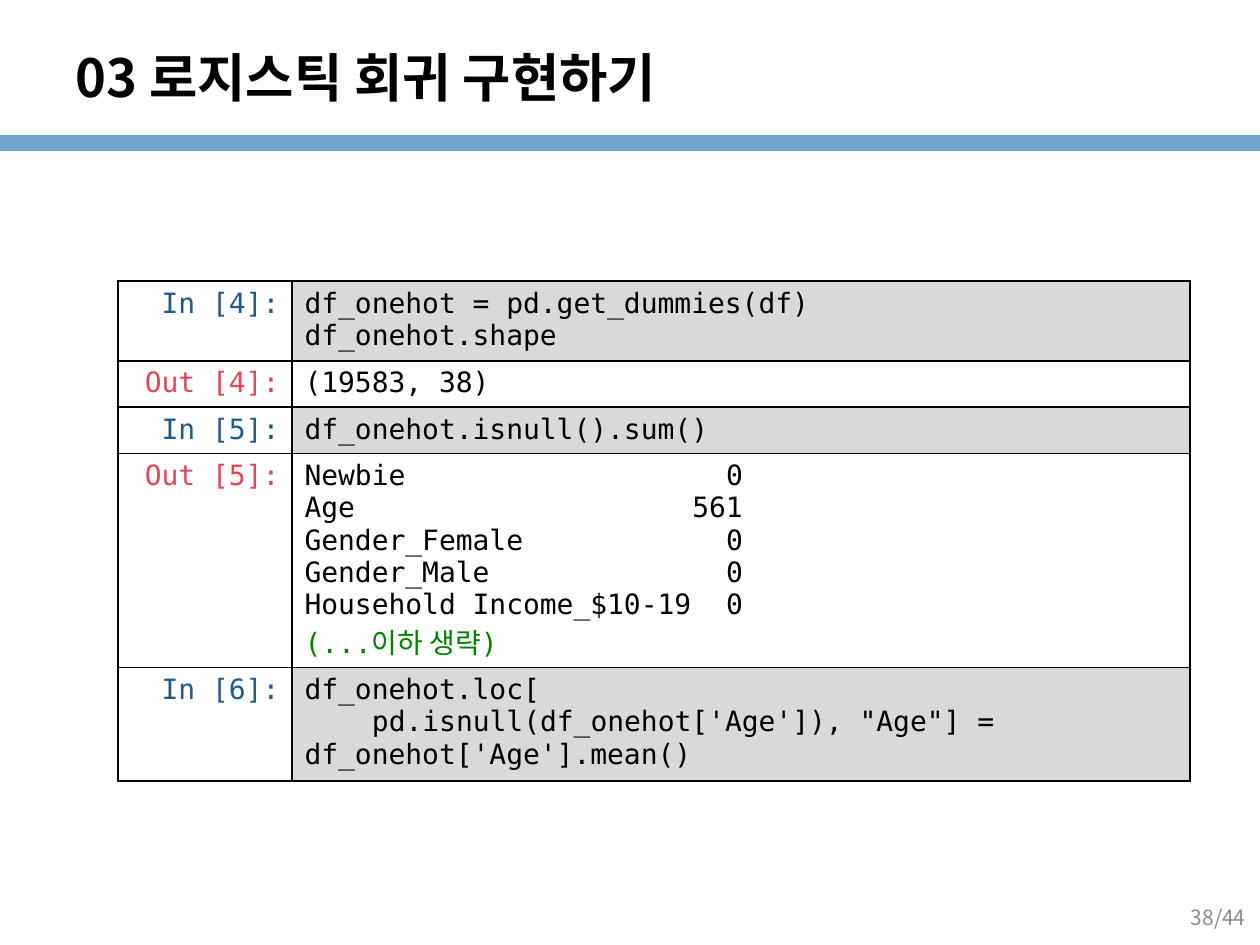
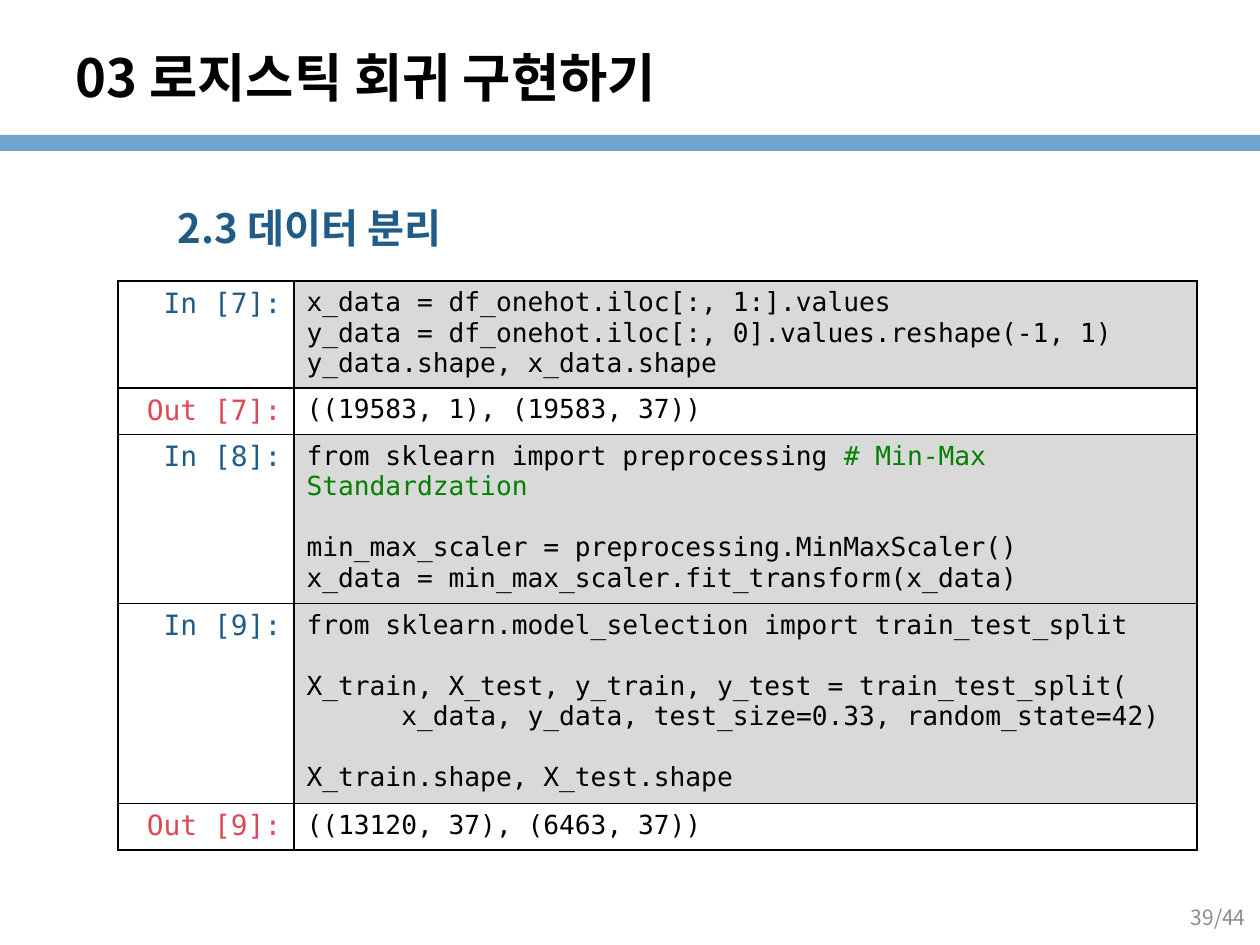
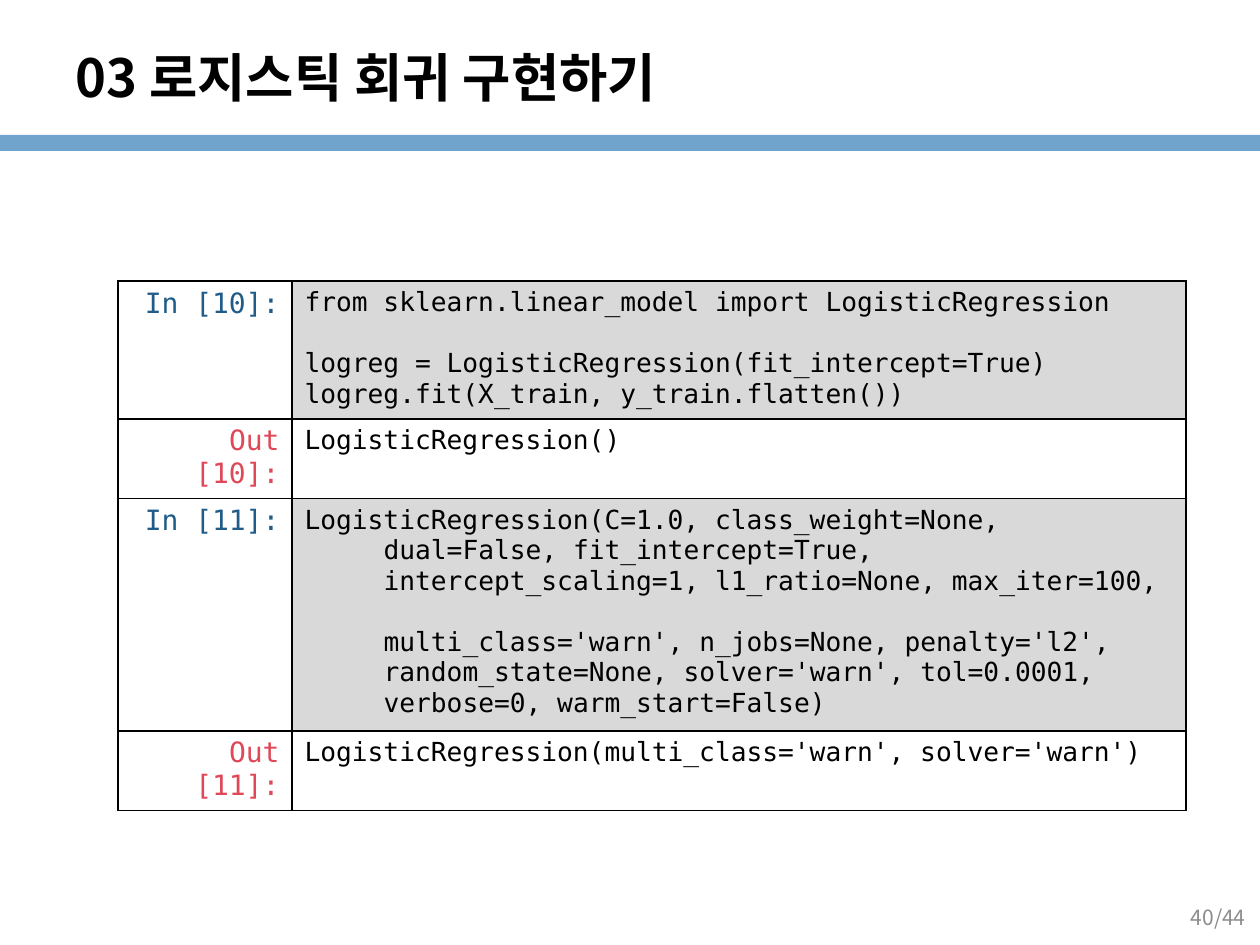
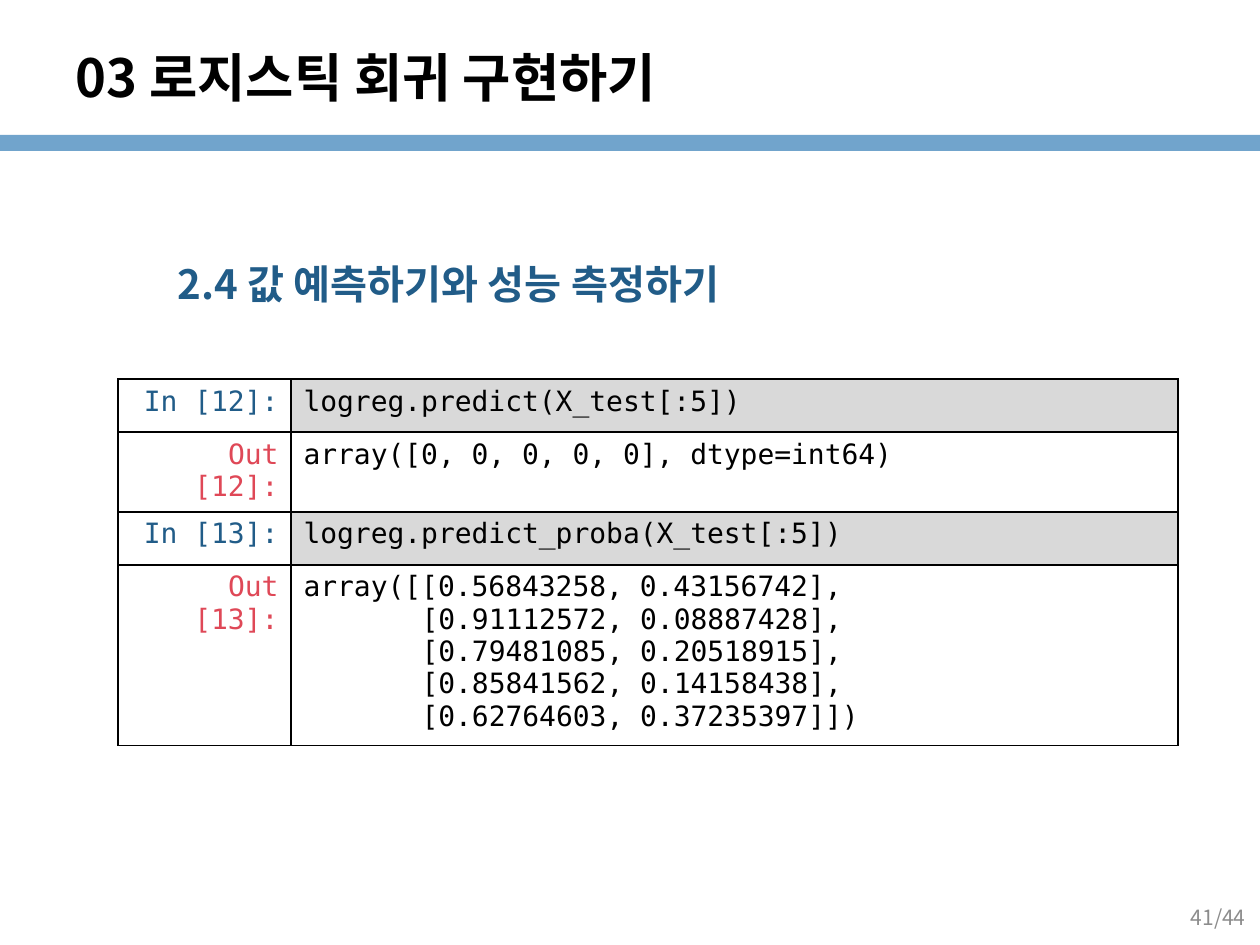
from dataclasses import dataclass

from lxml.etree import SubElement
from pptx import Presentation
from pptx.dml.color import RGBColor
from pptx.enum.shapes import MSO_SHAPE
from pptx.enum.text import MSO_ANCHOR, MSO_AUTO_SIZE, PP_ALIGN
from pptx.oxml import parse_xml
from pptx.oxml.ns import nsdecls, qn
from pptx.util import Emu, Pt

# Shared look
BLACK = RGBColor(0x00, 0x00, 0x00)
BLUE = RGBColor(0x21, 0x5C, 0x88)
RED = RGBColor(0xDF, 0x48, 0x57)
GREEN = RGBColor(0x00, 0x80, 0x00)
BAND = RGBColor(0x71, 0xA4, 0xCC)
CODE_GRAY = RGBColor(0xD9, 0xD9, 0xD9)
PAGE_GRAY = RGBColor(0x8C, 0x8C, 0x8C)
SANS = "Noto Sans CJK KR"
MONO = "DejaVu Sans Mono"
TITLE = "03 로지스틱 회귀 구현하기"
PAGE_COUNT = 44
TABLE_LEFT = 118
LABEL_SIZE = 16
CHAR_WIDTH = 0.602  # advance of a monospaced character, in ems
LINE_HEIGHT = 1.164  # height of a monospaced line, in ems
TITLE_ONLY, TITLE_AND_BODY = 5, 1


@dataclass
class Line:
    """A line of code; indent and tab are counted in characters."""
    text: str
    indent: int = 0
    tab: int = 0
    gap: bool = False
    color: RGBColor = BLACK
    comment: str = ""


def px(n):
    return Emu(round(n * 914400 / 126))


def place(sp, left, top, width, height):
    sp.left, sp.top, sp.width, sp.height = map(px, (left, top, width, height))


def add_run(p, text, font, size, color, bold=False):
    r = p.add_run()
    r.text = text
    r.font.name, r.font.size, r.font.bold = font, Pt(size), bold
    r.font.color.rgb = color
    SubElement(r.font._element, qn("a:ea")).set("typeface", SANS)


def add_band(slide):
    sp = slide.shapes.add_shape(MSO_SHAPE.RECTANGLE, 0, px(135), px(1260), px(16))
    sp.shadow.inherit = False
    sp.fill.solid()
    sp.fill.fore_color.rgb = BAND
    sp.line.fill.background()


def add_page(prs, number, layout):
    slide = prs.slides.add_slide(prs.slide_layouts[layout])
    add_band(slide)
    # Title
    title = slide.shapes.title
    place(title, 63, 38, 987, 78)
    tf = title.text_frame
    tf.auto_size, tf.vertical_anchor = MSO_AUTO_SIZE.NONE, MSO_ANCHOR.MIDDLE
    p = tf.paragraphs[0]
    p.alignment = PP_ALIGN.LEFT
    add_run(p, TITLE, SANS, 30, BLACK, bold=True)
    # Page number
    tf = slide.shapes.add_textbox(px(964), px(892), px(294), px(50)).text_frame
    tf.word_wrap, tf.vertical_anchor = True, MSO_ANCHOR.MIDDLE
    p = tf.paragraphs[0]
    p.alignment = PP_ALIGN.RIGHT
    add_run(p, f"{number}/{PAGE_COUNT}", SANS, 12, PAGE_GRAY)
    return slide


def add_heading(slide, text, top):
    body = slide.placeholders[1]
    place(body, 63, top, 1134, 896 - top)
    tf = body.text_frame
    tf.auto_size = MSO_AUTO_SIZE.NONE
    p = tf.paragraphs[0]
    p.level, p.line_spacing, p.space_before = 1, 1.25, Pt(4.6)
    pPr = p._p.get_or_add_pPr()
    pPr.set("marL", str(px(102)))
    pPr.set("indent", "0")
    SubElement(pPr, qn("a:buNone"))
    add_run(p, text, SANS, 23, BLUE, bold=True)


def format_cell(cell, fill=None):
    if fill is None:
        cell.fill.background()
    else:
        cell.fill.solid()
        cell.fill.fore_color.rgb = fill
    tcPr = cell._tc.get_or_add_tcPr()
    for i, side in enumerate("LRTB"):
        tcPr.insert(i, parse_xml(
            f'<a:ln{side} {nsdecls("a")} w="12700"><a:solidFill>'
            f'<a:srgbClr val="{BLACK}"/></a:solidFill></a:ln{side}>'))


def write_line(p, line, size):
    char = Pt(size * CHAR_WIDTH)
    if line.gap:
        p.space_before = Pt(round(size * LINE_HEIGHT, 1))
    pPr = p._p.get_or_add_pPr()
    if line.indent:
        pPr.set("marL", "0")
        pPr.set("indent", str(line.indent * char))
    if line.tab:
        tab = SubElement(SubElement(pPr, qn("a:tabLst")), qn("a:tab"))
        tab.set("pos", str(line.tab * char))
        tab.set("algn", "r")
    add_run(p, line.text, MONO, size, line.color)
    if line.comment:
        add_run(p, line.comment, MONO, size, GREEN)


def add_notebook(slide, top, col_widths, height, size, cells):
    """cells: (label, least row height, lines); rows grow with their text."""
    frame = slide.shapes.add_table(len(cells), 2, px(TABLE_LEFT), px(top),
                                   px(sum(col_widths)), px(height))
    table = frame.table
    table.first_row = table.horz_banding = False
    for col, width in zip(table.columns, col_widths):
        col.width = px(width)
    for i, (label, row_height, lines) in enumerate(cells):
        table.rows[i].height = px(row_height)
        is_input = label.startswith("In")
        label_cell, code_cell = table.cell(i, 0), table.cell(i, 1)
        format_cell(label_cell)
        format_cell(code_cell, CODE_GRAY if is_input else None)
        p = label_cell.text_frame.paragraphs[0]
        p.alignment = PP_ALIGN.RIGHT
        add_run(p, f"{label}:", MONO, LABEL_SIZE, BLUE if is_input else RED)
        tf = code_cell.text_frame
        for n, line in enumerate(lines):
            p = tf.add_paragraph() if n else tf.paragraphs[0]
            write_line(p, line, size)
    frame.height = px(height)


def main():
    prs = Presentation()
    prs.slide_width, prs.slide_height = px(1260), px(945)

    # One-hot encoding and missing values
    slide = add_page(prs, 38, TITLE_ONLY)
    null_counts = [("Newbie", 0), ("Age", 561), ("Gender_Female", 0),
                   ("Gender_Male", 0), ("Household Income_$10-19", 0)]
    add_notebook(slide, 281, (174, 898), 466, 16, [
        ("In [4]", 45, [Line("df_onehot = pd.get_dummies(df)"),
                        Line("df_onehot.shape")]),
        ("Out [4]", 44, [Line("(19583, 38)")]),
        ("In [5]", 46, [Line("df_onehot.isnull().sum()")]),
        ("Out [5]", 46, [Line(f"{name}\t{count}", tab=26)
                         for name, count in null_counts]
         + [Line("(...이하 생략)", color=GREEN)]),
        ("In [6]", 46, [
            Line("df_onehot.loc["),
            Line("pd.isnull(df_onehot['Age']), \"Age\"] = "
                 "df_onehot['Age'].mean()", indent=4)]),
    ])

    # Splitting the data
    slide = add_page(prs, 39, TITLE_AND_BODY)
    add_heading(slide, "2.3 데이터 분리", 185)
    add_notebook(slide, 281, (176, 903), 541, 15, [
        ("In [7]", 45, [
            Line("x_data = df_onehot.iloc[:, 1:].values"),
            Line("y_data = df_onehot.iloc[:, 0].values.reshape(-1, 1)"),
            Line("y_data.shape, x_data.shape")]),
        ("Out [7]", 44, [Line("((19583, 1), (19583, 37))")]),
        ("In [8]", 46, [
            Line("from sklearn import preprocessing ",
                 comment="# Min-Max Standardzation"),
            Line("min_max_scaler = preprocessing.MinMaxScaler()", gap=True),
            Line("x_data = min_max_scaler.fit_transform(x_data)")]),
        ("In [9]", 46, [
            Line("from sklearn.model_selection import train_test_split"),
            Line("X_train, X_test, y_train, y_test = train_test_split(", gap=True),
            Line("x_data, y_data, test_size=0.33, random_state=42)", indent=6),
            Line("X_train.shape, X_test.shape", gap=True)]),
        ("Out [9]", 46, [Line("((13120, 37), (6463, 37))")]),
    ])

    # Fitting the model
    slide = add_page(prs, 40, TITLE_ONLY)
    add_notebook(slide, 281, (174, 894), 433, 15, [
        ("In [10]", 45, [
            Line("from sklearn.linear_model import LogisticRegression"),
            Line("logreg = LogisticRegression(fit_intercept=True)", gap=True),
            Line("logreg.fit(X_train, y_train.flatten())")]),
        ("Out [10]", 44, [Line("LogisticRegression()")]),
        ("In [11]", 46, [
            Line("LogisticRegression(C=1.0, class_weight=None,"),
            Line("dual=False, fit_intercept=True,", indent=5),
            Line("intercept_scaling=1, l1_ratio=None, max_iter=100,", indent=5),
            Line("multi_class='warn', n_jobs=None, penalty='l2',", indent=5,
                 gap=True),
            Line("random_state=None, solver='warn', tol=0.0001,", indent=5),
            Line("verbose=0, warm_start=False)", indent=5)]),
        ("Out [11]", 46, [
            Line("LogisticRegression(multi_class='warn', solver='warn')")]),
    ])

    # Predicting and measuring
    slide = add_page(prs, 41, TITLE_AND_BODY)
    add_heading(slide, "2.4 값 예측하기와 성능 측정하기", 241)
    add_notebook(slide, 379, (173, 887), 338, 16, [
        ("In [12]", 53, [Line("logreg.predict(X_test[:5])")]),
        ("Out [12]", 53, [Line("array([0, 0, 0, 0, 0], dtype=int64)")]),
        ("In [13]", 53, [Line("logreg.predict_proba(X_test[:5])")]),
        ("Out [13]", 46, [
            Line("array([[0.56843258, 0.43156742],"),
            Line("[0.91112572, 0.08887428],", indent=7),
            Line("[0.79481085, 0.20518915],", indent=7),
            Line("[0.85841562, 0.14158438],", indent=7),
            Line("[0.62764603, 0.37235397]])", indent=7)]),
    ])

    prs.save("out.pptx")


if __name__ == "__main__":
    main()
